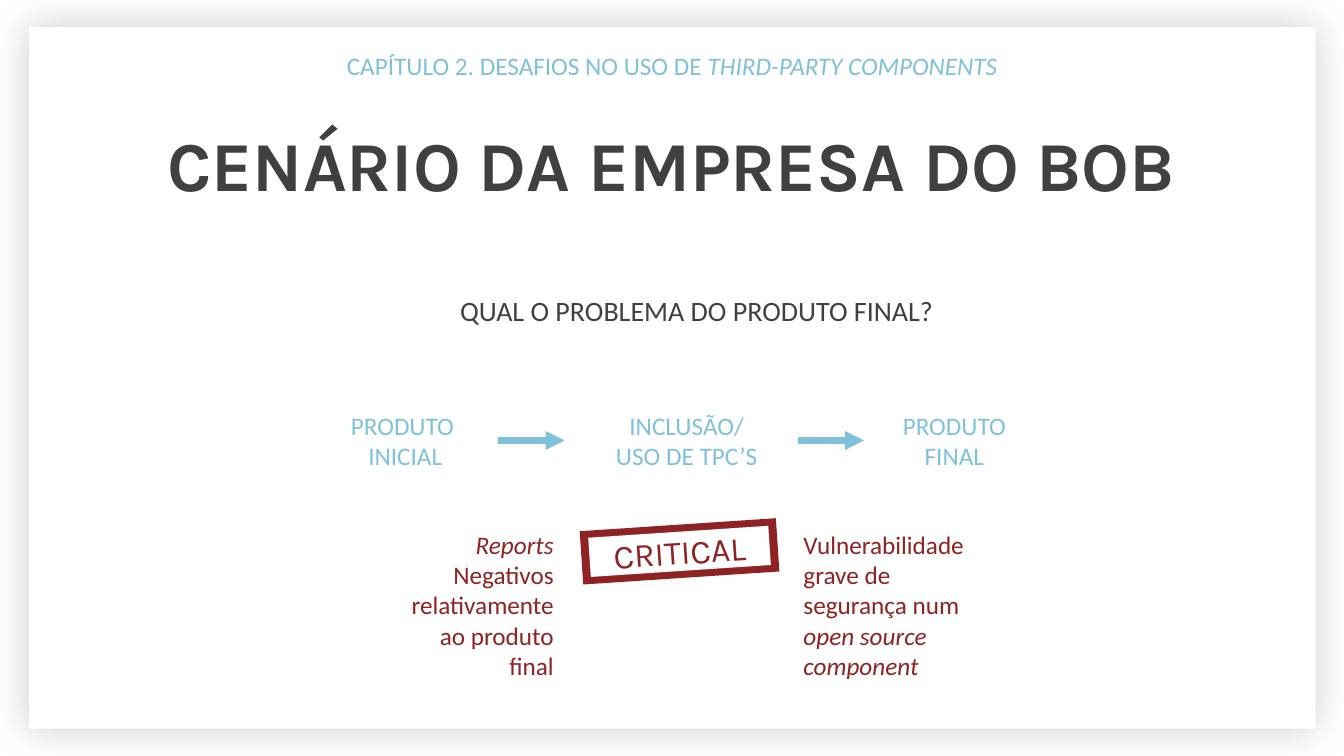
from dataclasses import dataclass

from lxml.etree import SubElement
from pptx import Presentation
from pptx.dml.color import RGBColor
from pptx.enum.shapes import MSO_CONNECTOR as Connector, MSO_SHAPE as Shape
from pptx.enum.text import MSO_ANCHOR as Anchor, MSO_AUTO_SIZE as AutoSize, PP_ALIGN as Align
from pptx.oxml.ns import qn
from pptx.util import Inches, Pt


@dataclass(frozen=True)
class Theme:
    blue: str = "7FC1DB"
    red: str = "8F2323"
    dark: str = "404040"
    white: str = "FFFFFF"
    shadow: str = "000000"
    body_font: str = "Calibri"
    title_font: str = "Karla"
    title_size: int = 50
    stamp_size: int = 24
    question_size: int = 20
    body_size: int = 18
    arrow_width: float = 4.5


class SlideBuilder:
    def __init__(self, deck, theme):
        self.theme = theme
        self.slide = deck.slides.add_slide(deck.slide_layouts[5])
        self.shapes = self.slide.shapes

    def set_text(self, box, paragraphs, color, size=None, font=None, align=Align.CENTER, bold=False,
                 anchor=Anchor.TOP, fit=AutoSize.SHAPE_TO_FIT_TEXT):
        frame = box.text_frame
        frame_format = {"word_wrap": True, "auto_size": fit, "vertical_anchor": anchor}
        for name, value in frame_format.items():
            setattr(frame, name, value)
        font_format = {"name": font or self.theme.body_font,
                       "size": Pt(size or self.theme.body_size), "bold": bold}
        for index, pieces in enumerate(paragraphs):
            para = frame.paragraphs[0] if index == 0 else frame.add_paragraph()
            para.alignment = align
            for text, italic in pieces:
                span = para.add_run()
                span.text = text
                for name, value in {**font_format, "italic": italic}.items():
                    setattr(span.font, name, value)
                span.font.color.rgb = RGBColor.from_string(color)
        return box

    def text(self, place, paragraphs, color, **style):
        box = self.shapes.add_textbox(*map(Inches, place))
        return self.set_text(box, paragraphs, color, **style)

    def title(self, place, text):
        box = self.shapes.title
        for name, value in zip(("left", "top", "width", "height"), place):
            setattr(box, name, Inches(value))
        self.set_text(box, [[(text, False)]], self.theme.dark, size=self.theme.title_size,
                      font=self.theme.title_font, bold=True)
        box.element.getparent().append(box.element)

    def rectangle(self, place, color, rotation=0):
        box = self.shapes.add_shape(Shape.RECTANGLE, *map(Inches, place))
        box.shadow.inherit = False
        box.fill.solid()
        box.fill.fore_color.rgb = RGBColor.from_string(color)
        box.line.fill.background()
        box.rotation = rotation
        return box

    def panel(self, place, blur, opacity):
        box = self.rectangle(place, self.theme.white)
        effects = box.element.spPr.find(qn("a:effectLst"))
        shadow = SubElement(effects, qn("a:outerShdw"), blurRad=str(Pt(blur)), dist="0", dir="0",
                            algn="ctr", rotWithShape="0")
        tint = SubElement(shadow, qn("a:srgbClr"), val=self.theme.shadow)
        SubElement(tint, qn("a:alpha"), val=str(opacity * 1000))

    def arrow(self, left, y, length, target=None):
        ends = map(Inches, (left, y, left + length, y))
        line = self.shapes.add_connector(Connector.STRAIGHT, *ends)
        line.line.color.rgb = RGBColor.from_string(self.theme.blue)
        line.line.width = Pt(self.theme.arrow_width)
        properties = line.element.spPr
        SubElement(properties.find(qn("a:ln")), qn("a:tailEnd"), type="triangle")
        SubElement(properties, qn("a:effectLst"))
        if target is not None:
            line.end_connect(target, 1)

    def stamp(self, center_x, center_y, text, rotation):
        theme = self.theme
        for width, height, color in ((1.95, 0.53, theme.red), (1.79, 0.39, theme.white)):
            place = (center_x - width / 2, center_y - height / 2, width, height)
            box = self.rectangle(place, color, rotation)
        self.set_text(box, [[(text, False)]], theme.red, size=theme.stamp_size,
                      font=theme.title_font, anchor=Anchor.MIDDLE, fit=AutoSize.NONE)


def main():
    theme = Theme()
    deck = Presentation()
    deck.slide_width, deck.slide_height = Inches(13.33), Inches(7.5)
    page = SlideBuilder(deck, theme)

    page.panel((0.29, 0.27, 12.76, 6.96), blur=29, opacity=20)
    page.text((2.87, 0.45, 7.59, 0.4),
              [[("CAPÍTULO 2. DESAFIOS NO USO DE", False), (" THIRD-PARTY COMPONENTS", True)]],
              theme.blue)

    steps = [
        (2.98, 2.08, ("PRODUTO ", "INICIAL")),
        (5.95, 1.72, ("INCLUSÃO/USO DE TPC’S",)),
        (8.57, 1.79, ("PRODUTO", "FINAL")),
    ]
    boxes = [page.text((left, 4.02, width, 0.7), [[(line, False)] for line in lines], theme.blue)
             for left, width, lines in steps]
    for left, target in ((4.94, None), (7.91, boxes[-1])):
        page.arrow(left, 4.37, 0.66, target)

    page.text((3.94, 5.2, 1.65, 1.31),
              [[("Reports", True), (" Negativos relativamente ao produto final", False)]],
              theme.red, align=Align.RIGHT)
    page.stamp(6.74, 5.47, "CRITICAL", 356.2)
    page.text((7.87, 5.2, 1.98, 1.31),
              [[("Vulnerabilidade grave de segurança num ", False), ("open source component", True)]],
              theme.red, align=Align.LEFT)

    page.title((1.5, 1.16, 10.33, 1.78), "CENÁRIO DA EMPRESA DO BOB")
    page.text((2.87, 2.86, 8.08, 0.44), [[("QUAL O PROBLEMA DO PRODUTO FINAL?", False)]],
              theme.dark, size=theme.question_size)
    deck.save("out.pptx")


if __name__ == "__main__":
    main()
